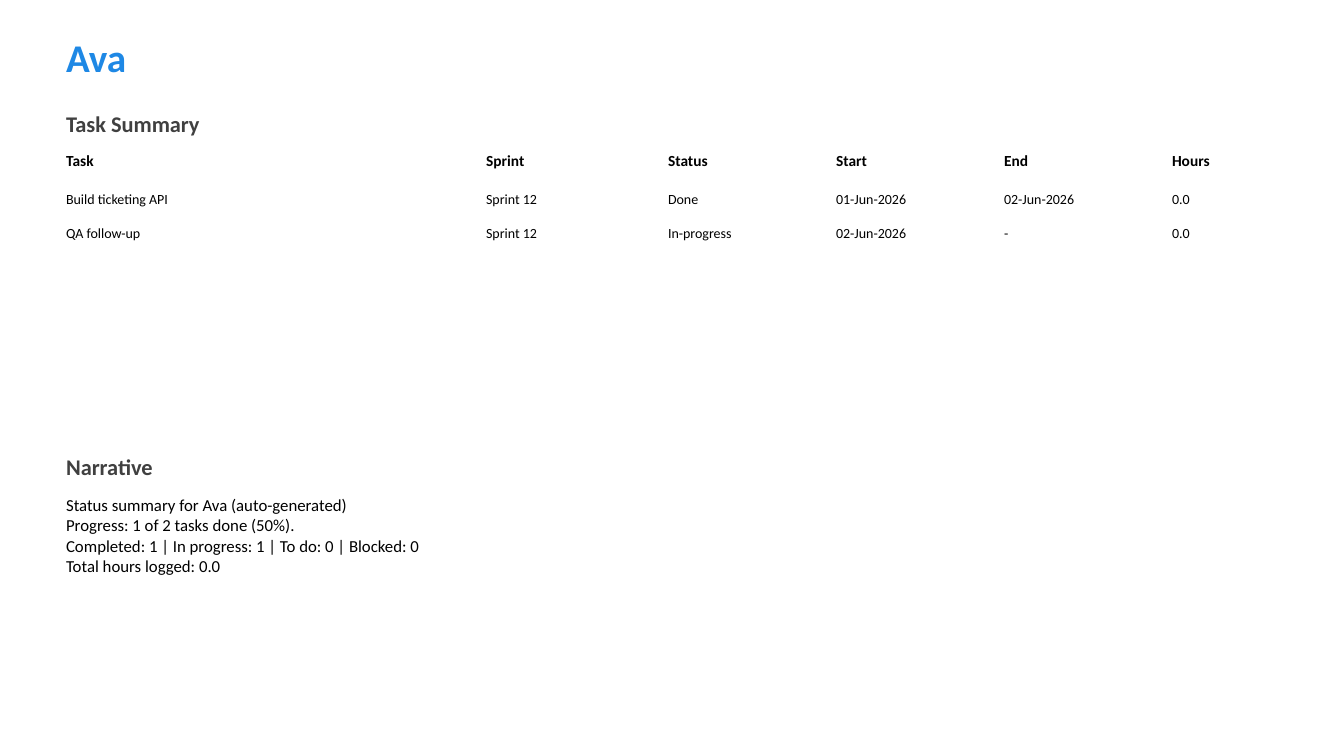
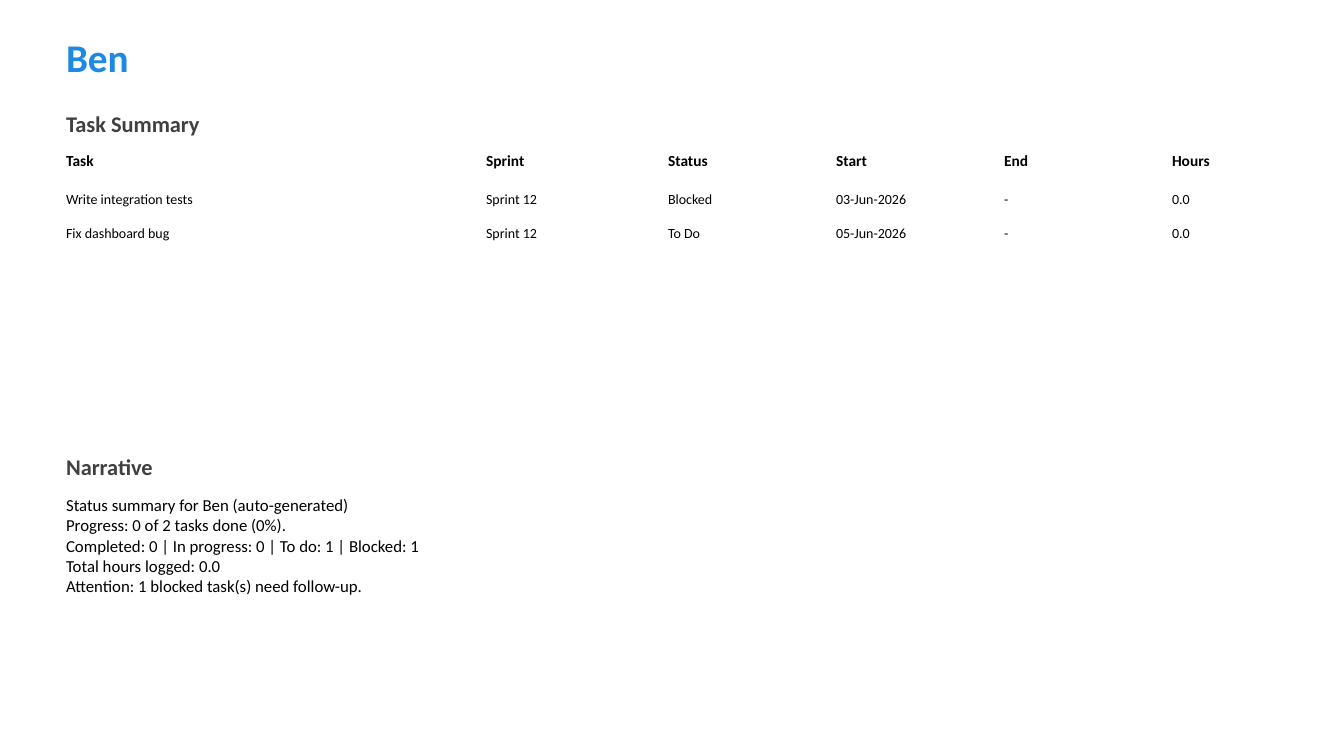
from pptx import Presentation
from pptx.dml.color import RGBColor
from pptx.enum.text import MSO_ANCHOR, MSO_AUTO_SIZE, PP_ALIGN
from pptx.oxml.ns import qn
from pptx.util import Pt

TOP = MSO_ANCHOR.TOP
LEFT = PP_ALIGN.LEFT
NO_AUTOFIT = MSO_AUTO_SIZE.NONE

# Shared grid: 96 columns by 54 rows of 10 pt squares
CELL = Pt(10)
MARGIN, CONTENT_WIDTH = 4, 88
COLUMN_WIDTHS = (30, 13, 12, 12, 12, 9)
HEADER_HEIGHT, TASK_HEIGHT = 2.8, 2.4

# Shared text styles
TITLE = {"size": Pt(28), "bold": True, "color": "1E88E5"}
HEADING = {"size": Pt(16), "bold": True, "color": "404040"}
BODY = {"size": Pt(12), "bold": False, "color": "000000"}
TABLE_HEADER = {"size": Pt(11), "bold": True, "color": "000000"}
TABLE_BODY = {"size": Pt(10), "bold": False, "color": "000000"}

COLUMN_NAMES = ("Task", "Sprint", "Status", "Start", "End", "Hours")
MEMBERS = [
    ("Ava",
     [("Build ticketing API", "Sprint 12", "Done", "01-Jun-2026", "02-Jun-2026", "0.0"),
      ("QA follow-up", "Sprint 12", "In-progress", "02-Jun-2026", "-", "0.0")],
     ["Status summary for Ava (auto-generated)",
      "Progress: 1 of 2 tasks done (50%).",
      "Completed: 1 | In progress: 1 | To do: 0 | Blocked: 0",
      "Total hours logged: 0.0"]),
    ("Ben",
     [("Write integration tests", "Sprint 12", "Blocked", "03-Jun-2026", "-", "0.0"),
      ("Fix dashboard bug", "Sprint 12", "To Do", "05-Jun-2026", "-", "0.0")],
     ["Status summary for Ben (auto-generated)",
      "Progress: 0 of 2 tasks done (0%).",
      "Completed: 0 | In progress: 0 | To do: 1 | Blocked: 1",
      "Total hours logged: 0.0",
      "Attention: 1 blocked task(s) need follow-up."]),
]


def style_text(paragraph, style):
    """Apply one text style, flush left and without a bullet."""
    properties = paragraph._p.get_or_add_pPr()
    properties.set("marL", "0")
    properties.set("indent", "0")
    properties.append(properties.makeelement(qn("a:buNone"), {}))
    paragraph.alignment = LEFT
    paragraph.space_before = Pt(0)
    paragraph.font.name = "Calibri"
    for attribute in ("size", "bold"):
        setattr(paragraph.font, attribute, style[attribute])
    paragraph.font.color.rgb = RGBColor.from_string(style["color"])


def fill_placeholder(placeholder, lines, style, top, width, height):
    """Place a template placeholder on the grid and write its lines."""
    box = {"left": MARGIN, "top": top, "width": width, "height": height}
    for attribute, cells in box.items():
        setattr(placeholder, attribute, int(cells * CELL))
    frame = placeholder.text_frame
    frame.text = "\n".join(lines)
    frame.word_wrap = True
    frame.auto_size = NO_AUTOFIT
    frame.vertical_anchor = TOP
    for paragraph in frame.paragraphs:
        style_text(paragraph, style)


deck = Presentation()
deck.slide_width, deck.slide_height = 96 * CELL, 54 * CELL
comparison_layout = deck.slide_layouts[4]

for member, tasks, narrative in MEMBERS:
    slide = deck.slides.add_slide(comparison_layout)
    parts = {p.placeholder_format.idx: p for p in slide.placeholders}

    # Title, section headings and narrative
    fill_placeholder(parts[0], [member], TITLE, 2, CONTENT_WIDTH, 5)
    fill_placeholder(parts[1], ["Task Summary"], HEADING, 7.5, 40, 3)
    fill_placeholder(parts[3], ["Narrative"], HEADING, 32, CONTENT_WIDTH, 3)
    fill_placeholder(parts[4], narrative, BODY, 35, CONTENT_WIDTH, 16.5)

    # The table takes the place of the first content placeholder
    unused = parts[2].element
    unused.getparent().remove(unused)

    # Task table
    rows = [COLUMN_NAMES, *tasks]
    table_height = HEADER_HEIGHT + TASK_HEIGHT * len(tasks)
    task_table = slide.shapes.add_table(
        len(rows), len(COLUMN_NAMES), MARGIN * CELL, int(10.5 * CELL),
        CONTENT_WIDTH * CELL, int(table_height * CELL)).table
    task_table.horz_banding = False
    for column, width in zip(task_table.columns, COLUMN_WIDTHS):
        column.width = width * CELL
    for row_number, values in enumerate(rows):
        is_header = row_number == 0
        row = task_table.rows[row_number]
        row.height = int((HEADER_HEIGHT if is_header else TASK_HEIGHT) * CELL)
        for cell, value in zip(row.cells, values):
            cell.text = value
            cell.fill.background()
            cell.vertical_anchor = TOP
            style_text(cell.text_frame.paragraphs[0],
                       TABLE_HEADER if is_header else TABLE_BODY)

deck.save("out.pptx")
